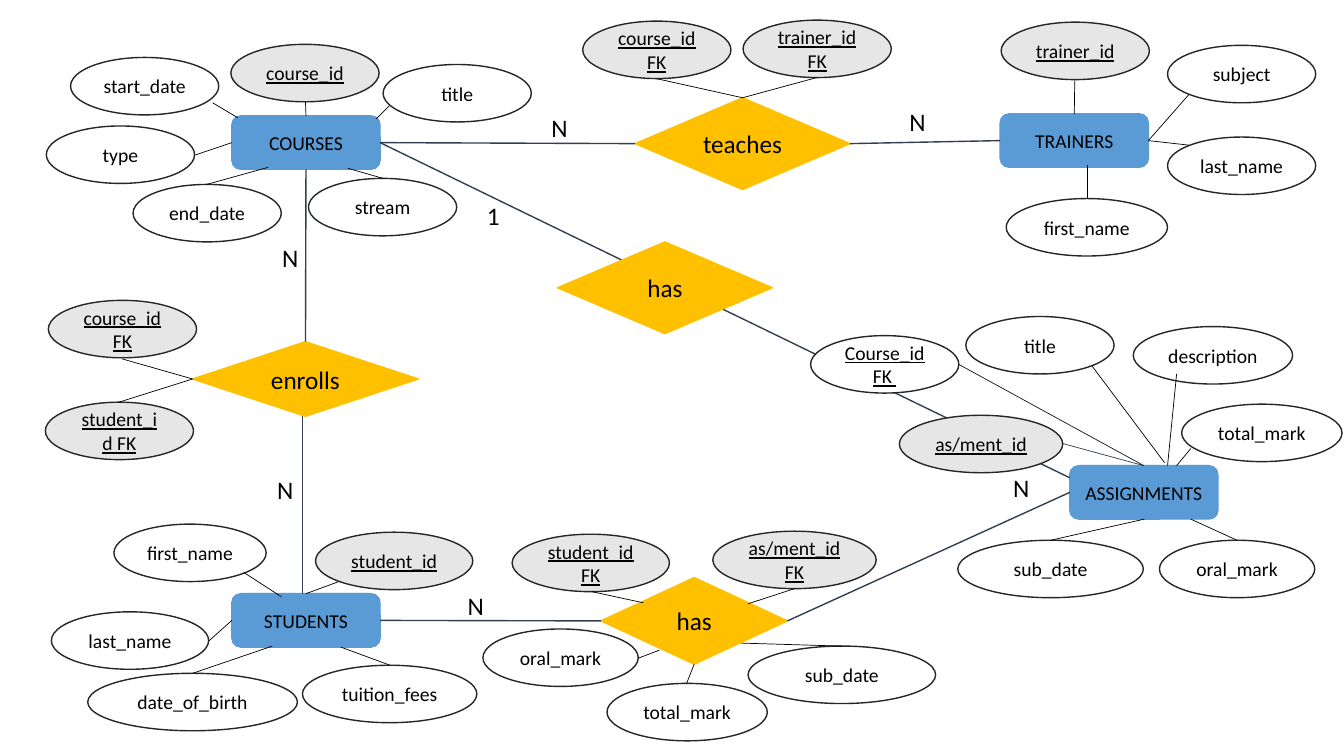
from typing import NamedTuple

from lxml import etree
from pptx import Presentation
from pptx.dml.color import RGBColor
from pptx.enum.shapes import MSO_CONNECTOR, MSO_SHAPE
from pptx.enum.text import MSO_ANCHOR, PP_ALIGN
from pptx.oxml.ns import qn
from pptx.shapes.autoshape import Shape
from pptx.shapes.connector import Connector
from pptx.slide import Slide
from pptx.text.text import TextFrame
from pptx.util import Inches, Pt

STRAIGHT = MSO_CONNECTOR.STRAIGHT
ELLIPSE = MSO_SHAPE.OVAL
DIAMOND = MSO_SHAPE.DIAMOND
ROUNDED = MSO_SHAPE.ROUNDED_RECTANGLE
CENTER = PP_ALIGN.CENTER
LEFT_ALIGN = PP_ALIGN.LEFT
MIDDLE = MSO_ANCHOR.MIDDLE
TOP, LEFT, BOTTOM, RIGHT = range(4)

BLACK = RGBColor(0x00, 0x00, 0x00)
WHITE = RGBColor(0xFF, 0xFF, 0xFF)
GREY = RGBColor(0xE7, 0xE6, 0xE6)
BLUE = RGBColor(0x5B, 0x9B, 0xD5)
GOLD = RGBColor(0xFF, 0xC0, 0x00)
OUTLINE = RGBColor(0x26, 0x26, 0x26)
SLATE = RGBColor(0x33, 0x3F, 0x50)
CHARCOAL = RGBColor(0x18, 0x17, 0x17)

FONT = "Calibri"
ENTITY_SIZE = (1.47, 0.53)
ATTRIBUTE_WIDTH = 1.47
ATTRIBUTE_HEIGHT = 0.57
LABEL_SIZE = (0.36, 0.4)


class Style(NamedTuple):
    form: MSO_SHAPE
    fill: RGBColor
    line: RGBColor
    size: int = 14
    underline: bool = False


class Node(NamedTuple):
    text: str
    left: float
    top: float
    width: float = ATTRIBUTE_WIDTH
    height: float = ATTRIBUTE_HEIGHT


class Joint(NamedTuple):
    name: str
    side: int


class Point(NamedTuple):
    x: float
    y: float


class Link(NamedTuple):
    start: Joint | Point
    end: Joint | Point
    color: RGBColor = BLACK
    weight: float = 0.5


class Label(NamedTuple):
    text: str
    left: float
    top: float


ENTITY = Style(ROUNDED, BLUE, BLUE)
RELATION = Style(DIAMOND, GOLD, GOLD, 18)
ATTRIBUTE = Style(ELLIPSE, WHITE, OUTLINE)
KEY = Style(ELLIPSE, GREY, OUTLINE, underline=True)
FOREIGN_KEY = Style(ELLIPSE, WHITE, OUTLINE, underline=True)

ENTITIES = [
    Node("COURSES", 2.3, 1.15, *ENTITY_SIZE),
    Node("TRAINERS", 9.92, 1.13, *ENTITY_SIZE),
    Node("STUDENTS", 2.3, 5.89, *ENTITY_SIZE),
    Node("ASSIGNMENTS", 10.61, 4.62, *ENTITY_SIZE),
]
RELATIONS = [
    Node("teaches", 6.3, 0.97, 2.13, 0.91),
    Node("enrolls", 1.91, 3.39, 2.24, 0.74),
    Node("has", 5.96, 5.73, 1.85, 0.86),
]
ATTRIBUTES = [
    Node("start_date", 0.7, 0.57),
    Node("title", 3.8, 0.64),
    Node("end_date", 1.32, 1.83),
    Node("stream", 3.06, 1.77),
    Node("type", 0.46, 1.25),
    Node("first_name", 9.98, 1.97, 1.6),
    Node("last_name", 11.58, 1.36),
    Node("subject", 11.58, 0.45),
    Node("first_name", 1.13, 5.2, 1.51),
    Node("last_name", 0.51, 6.07, 1.56),
    Node("date_of_birth", 0.87, 6.68, 2.08),
    Node("tuition_fees", 3, 6.6, 1.73),
    Node("title", 9.58, 3.14),
    Node("total_mark", 11.72, 4.01, 1.59),
    Node("description", 11.24, 3.24, 1.58),
    Node("sub_date", 9.5, 5.36, 1.84),
    Node("oral_mark", 11.5, 5.36, 1.54),
    Node("total_mark", 6.02, 6.78, 1.59),
    Node("sub_date", 7.42, 6.41, 1.86),
    Node("oral_mark", 4.79, 6.24, 1.54),
]
KEYS = [
    Node("course_id", 2.29, 0.44),
    Node("trainer_id", 9.93, 0.22),
    Node("student_id", 3.13, 5.28, 1.56),
    Node("student_id FK", 0.45, 3.99),
    Node("course_id FK", 0.48, 2.98),
    Node("student_id FK", 5.08, 5.3, 1.56),
    Node("as/ment_id FK", 7.07, 5.27, 1.62),
    Node("course_id FK", 5.78, 0.21),
    Node("trainer_id FK", 7.37, 0.2),
]
FRONT_NODES = [
    (FOREIGN_KEY, Node("Course_id\nFK ", 8.04, 3.33)),
    (KEY, Node("as/ment_id", 8.92, 4.12, 1.62)),
    (RELATION, Node("has", 5.53, 2.4, 2.13, 0.91)),
]
LINKS = [
    Link(Joint("COURSES", BOTTOM), Joint("enrolls", TOP), SLATE, 1),
    Link(Point(3, 4.13), Point(3, 5.89), SLATE, 1),
    Link(Joint("STUDENTS", RIGHT), Joint("has", LEFT), SLATE, 1),
    Link(Joint("has", RIGHT), Joint("ASSIGNMENTS", LEFT), SLATE, 1),
    Link(Joint("COURSES", RIGHT), Joint("teaches", LEFT), SLATE, 1),
    Link(Joint("teaches", RIGHT), Joint("TRAINERS", LEFT), SLATE, 1),
    Link(Joint("COURSES", LEFT), Point(1.93, 1.54)),
    Link(Joint("COURSES", TOP), Point(3.03, 1.01)),
    Link(Point(3.73, 1.18), Point(3.86, 1.05)),
    Link(Point(2.36, 1.17), Point(2.11, 1.02)),
    Link(Point(2.66, 1.66), Point(2.05, 1.83)),
    Link(Point(3.45, 1.67), Point(3.8, 1.77)),
    Link(Joint("teaches", TOP), Point(6.51, 0.78)),
    Link(Joint("teaches", TOP), Point(8.1, 0.77)),
    Link(Joint("enrolls", LEFT), Point(1.21, 3.56)),
    Link(Joint("enrolls", LEFT), Point(1.18, 3.99)),
    Link(Point(2.79, 5.92), Point(2.42, 5.68)),
    Link(Joint("STUDENTS", LEFT), Point(2.07, 6.36)),
    Link(Point(2.7, 6.41), Point(1.91, 6.68)),
    Link(Point(3.38, 6.42), Point(3.87, 6.6)),
    Link(Joint("STUDENTS", TOP), Point(3.36, 5.77)),
    Link(Joint("TRAINERS", TOP), Point(10.66, 0.8)),
    Link(Joint("TRAINERS", RIGHT), Point(11.79, 0.94)),
    Link(Joint("TRAINERS", RIGHT), Point(11.79, 1.44)),
    Link(Point(10.78, 1.64), Point(10.78, 1.97)),
    Link(Point(7.42, 5.99), Point(7.88, 5.84)),
    Link(Point(6.38, 5.98), Point(5.87, 5.87)),
    Link(Point(8.35, 6.41), Point(7.35, 6.38)),
    Link(Joint("has", BOTTOM), Point(6.81, 6.78)),
    Link(Point(6.33, 6.53), Point(6.54, 6.45)),
    Link(Point(11.58, 4.62), Point(11.67, 3.71)),
    Link(Point(11.67, 4.62), Point(11.81, 4.45)),
    Link(Point(11.55, 4.59), Point(10.83, 3.63)),
    Link(Point(11.81, 5.15), Point(12.27, 5.36)),
    Link(Point(11.35, 5.15), Point(10.42, 5.36)),
    Link(Joint("ASSIGNMENTS", TOP), Point(10.54, 4.4), SLATE),
    Link(Point(9.5, 3.61), Joint("ASSIGNMENTS", TOP), CHARCOAL),
    Link(Joint("COURSES", RIGHT), Point(10.61, 4.74), SLATE, 1),
]
LABELS = [
    Label("N", 5.37, 1.07),
    Label("N", 2.65, 4.66),
    Label("N", 8.92, 1.01),
    Label("N", 2.7, 2.36),
    Label("N", 4.54, 5.81),
    Label("N", 9.95, 4.64),
    Label("1", 4.73, 1.94),
]


def write_text(frame: TextFrame, text: str, size: int, align: PP_ALIGN, underline: bool = False) -> None:
    frame.word_wrap = True
    frame.text = text
    for para in frame.paragraphs:
        para.alignment = align
        para.font.name = FONT
        para.font.size = Pt(size)
        para.font.color.rgb = BLACK
        para.font.underline = underline


def draw_node(page: Slide, style: Style, node: Node) -> Shape:
    box = page.shapes.add_shape(style.form, *map(Inches, node[1:]))
    box.shadow.inherit = False
    box.fill.solid()
    box.fill.fore_color.rgb = style.fill
    box.line.color.rgb = style.line
    box.line.width = Pt(1)
    box.text_frame.vertical_anchor = MIDDLE
    write_text(box.text_frame, node.text, style.size, CENTER, style.underline)
    return box


def draw_link(page: Slide, link: Link, boxes: dict[str, Shape]) -> Connector:
    corners = [Inches(n) for end in link[:2] for n in (end if isinstance(end, Point) else (0, 0))]
    line = page.shapes.add_connector(STRAIGHT, *corners)
    for end, connect in ((link.start, line.begin_connect), (link.end, line.end_connect)):
        if isinstance(end, Joint):
            connect(boxes[end.name], end.side)
    line.line.color.rgb = link.color
    line.line.width = Pt(link.weight)
    etree.SubElement(line.line._get_or_add_ln().getparent(), qn("a:effectLst"))
    return line


def draw_label(page: Slide, label: Label) -> None:
    box = page.shapes.add_textbox(*map(Inches, (label.left, label.top, *LABEL_SIZE)))
    write_text(box.text_frame, label.text, 18, LEFT_ALIGN)


def main() -> None:
    deck = Presentation()
    deck.slide_width, deck.slide_height = Inches(13.33), Inches(7.5)
    page = deck.slides.add_slide(deck.slide_layouts[6])
    boxes = {}
    for style, nodes in ((ENTITY, ENTITIES), (RELATION, RELATIONS)):
        boxes.update({node.text: draw_node(page, style, node) for node in nodes})
    for style, nodes in ((ATTRIBUTE, ATTRIBUTES), (KEY, KEYS)):
        for node in nodes:
            draw_node(page, style, node)
    for link in LINKS:
        draw_link(page, link, boxes)
    for style, node in FRONT_NODES:
        draw_node(page, style, node)
    for label in LABELS:
        draw_label(page, label)
    deck.save("out.pptx")


if __name__ == "__main__":
    main()
